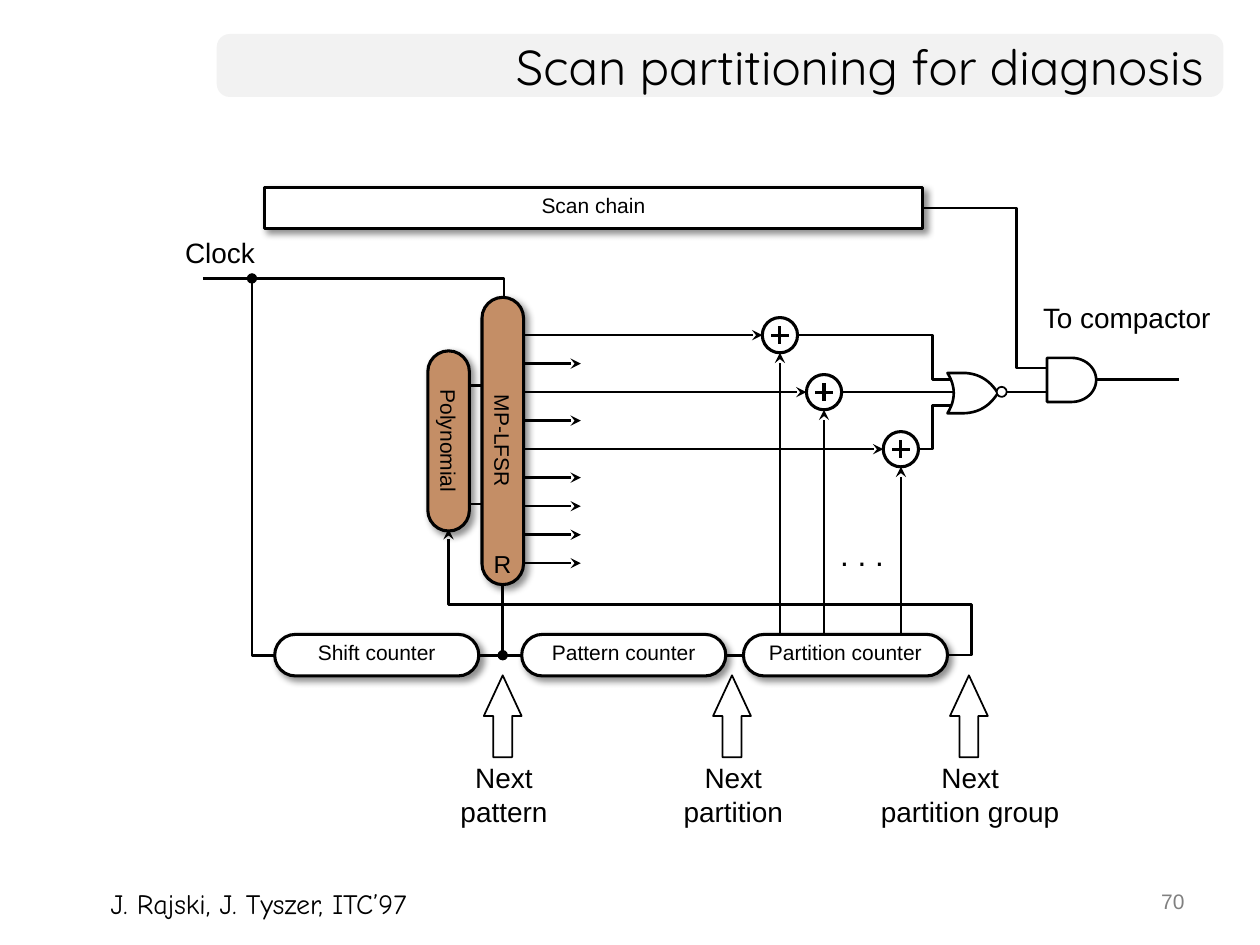
from lxml import etree
from pptx import Presentation
from pptx.dml.color import RGBColor
from pptx.enum.shapes import MSO_CONNECTOR, MSO_SHAPE
from pptx.enum.text import MSO_ANCHOR, MSO_AUTO_SIZE, PP_ALIGN
from pptx.oxml.ns import qn
from pptx.util import Inches, Pt

STRAIGHT = MSO_CONNECTOR.STRAIGHT
RECT, PILL, OVAL = MSO_SHAPE.RECTANGLE, MSO_SHAPE.ROUNDED_RECTANGLE, MSO_SHAPE.OVAL
UP_ARROW, AND_GATE = MSO_SHAPE.UP_ARROW, MSO_SHAPE.FLOWCHART_DELAY
LEFT, CENTER, RIGHT = PP_ALIGN.LEFT, PP_ALIGN.CENTER, PP_ALIGN.RIGHT
BLACK, WHITE, COPPER, PALE, GRAY = "000000", "FFFFFF", "C48E66", "F2F2F2", "808080"
color = RGBColor.from_string


def style(shape, width, fill=None, head=None, tail=None, shadow=False):
    """Set outline, fill, line ends and shadow of a shape or connector."""
    if width:
        shape.line.width = Pt(width)
        shape.line.color.rgb = color(BLACK)
    else:
        shape.line.fill.background()
    if fill:
        shape.fill.solid()
        shape.fill.fore_color.rgb = color(fill)
    elif hasattr(shape, "fill"):
        shape.fill.background()
    properties = shape.element.spPr
    for tag, kind in (("a:headEnd", head), ("a:tailEnd", tail)):
        if kind:
            etree.SubElement(properties.find(qn("a:ln")), qn(tag), type=kind)
    effects = etree.SubElement(properties, qn("a:effectLst"))
    if shadow:
        outer = etree.SubElement(effects, qn("a:outerShdw"), blurRad=str(Pt(4)),
                                 dist=str(Pt(3)), dir="2700000", algn="tl")
        tint = etree.SubElement(outer, qn("a:srgbClr"), val=BLACK)
        etree.SubElement(tint, qn("a:alpha"), val="43000")


def write(shape, text, size, align=CENTER, font="Arial", ink=BLACK, wrap=True, anchor=MSO_ANCHOR.MIDDLE):
    frame = shape.text_frame
    frame.text = text
    frame.word_wrap = wrap
    frame.vertical_anchor = anchor
    frame.auto_size = MSO_AUTO_SIZE.NONE if wrap else MSO_AUTO_SIZE.SHAPE_TO_FIT_TEXT
    for paragraph in frame.paragraphs:
        paragraph.alignment = align
        paragraph.font.size = Pt(size)
        paragraph.font.name = font
        paragraph.font.color.rgb = color(ink)


deck = Presentation()
deck.slide_width, deck.slide_height = Inches(10), Inches(7.5)
shapes = deck.slides.add_slide(deck.slide_layouts[6]).shapes

title_bar = shapes.add_shape(PILL, Inches(1.72), Inches(0.27), Inches(7.99), Inches(0.5))
title_bar.adjustments[0] = 0.208
style(title_bar, 0, PALE)
title = shapes.add_textbox(Inches(1.72), Inches(0.27), Inches(7.93), Inches(0.5))
write(title, "Scan partitioning for diagnosis", 28, RIGHT, "Quicksand")

# Nine evenly spaced register outputs; every second one of the first five feeds an XOR gate
TAPS = [2.66 + row * (4.47 - 2.66) / 8 for row in range(9)]
XOR_GATES = list(zip((6.19, 6.54, 7.15), TAPS[0:5:2]))
RADIUS = 0.14
CLOCK_X, CLOCK_Y = 2, 2.21
REGISTER_X, POLYNOMIAL_X = 3.99, 3.56
COUNTER_Y, FEEDBACK_Y = 5.2, 4.8

# Wires: points, start marker, end marker
wires = [([(3.96, y), (4.61, y)], None, "stealth") for y in TAPS if y not in TAPS[0:5:2]]
for x, y in XOR_GATES:
    wires += [([(4, y), (x - RADIUS, y)], None, "stealth"),
              ([(x, 5.12), (x, y + RADIUS)], None, "stealth")]
wires += [
    ([(7.07, TAPS[4]), (7.4, TAPS[4]), (7.4, 3.22), (7.69, 3.22)], None, None),
    ([(6.24, TAPS[0]), (7.4, TAPS[0]), (7.4, 3.01), (7.59, 3.01)], None, None),
    ([(6.54, TAPS[2]), (8.43, TAPS[2])], None, None),
    ([(8.66, 3.01), (9.36, 3.01)], None, None),
    ([(POLYNOMIAL_X, 3.06), (3.85, 3.06)], None, None),
    ([(POLYNOMIAL_X, 4), (3.85, 4)], None, None),
    ([(6.7, 1.65), (8.07, 1.65), (8.07, 2.92), (8.4, 2.92)], None, None),
    ([(7.26, COUNTER_Y), (7.71, COUNTER_Y), (7.71, FEEDBACK_Y), (POLYNOMIAL_X, FEEDBACK_Y),
      (POLYNOMIAL_X, 4.2)], None, "stealth"),
    ([(REGISTER_X, COUNTER_Y), (REGISTER_X, 4.44)], "oval", None),
    ([(CLOCK_X, CLOCK_Y), (CLOCK_X, COUNTER_Y), (6.26, COUNTER_Y)], "oval", None),
    ([(1.61, CLOCK_Y), (4, CLOCK_Y), (4, 2.78)], None, None),
]
for points, head, tail in wires:
    corners = [(Inches(x), Inches(y)) for x, y in points]
    if len(corners) == 2:
        wire = shapes.add_connector(STRAIGHT, *corners[0], *corners[1])
    else:
        outline = shapes.build_freeform(*corners[0])
        outline.add_line_segments(corners[1:], close=False)
        wire = outline.convert_to_shape()
    style(wire, 1.5, head=head, tail=tail)

# Blocks: label, centre, length, thickness, fill, rotation, corner rounding
for label, x, y, length, thickness, fill, turn, rounding in (
    ("Scan chain", 4.71, 1.65, 5.22, 0.32, WHITE, 0, 0),
    ("Shift counter", 2.99, 5.2, 1.62, 0.33, WHITE, 0, 0.5),
    ("Pattern counter", 4.95, 5.2, 1.62, 0.33, WHITE, 0, 0.5),
    ("Partition counter", 6.71, 5.2, 1.62, 0.33, WHITE, 0, 0.5),
    ("MP-LFSR", REGISTER_X, 3.5, 2.28, 0.33, COPPER, 90, 0.5),
    ("Polynomial", POLYNOMIAL_X, 3.5, 1.43, 0.33, COPPER, 90, 0.5),
):
    block = shapes.add_shape(PILL if rounding else RECT, Inches(x - length / 2),
                             Inches(y - thickness / 2), Inches(length), Inches(thickness))
    if rounding:
        block.adjustments[0] = rounding
    block.rotation = turn
    style(block, 1.75, fill, shadow=True)
    write(block, label, 12)
    block.text_frame.margin_bottom = Inches(0.05 if turn else 0.1)

for x, y in XOR_GATES:
    gate = shapes.add_shape(OVAL, Inches(x - RADIUS), Inches(y - RADIUS),
                            Inches(2 * RADIUS), Inches(2 * RADIUS))
    style(gate, 1.75, WHITE)
    for dx, dy in ((0, RADIUS / 2), (RADIUS / 2, 0)):
        stroke = shapes.add_connector(STRAIGHT, Inches(x - dx), Inches(y - dy),
                                      Inches(x + dx), Inches(y + dy))
        style(stroke, 1.75)

# NOR gate: a curved nose from the upper to the lower edge, then a hollow back
STEPS = 12
NOR_Y, NOR_HALF = 3.12, 0.16
nose = []
for step in range(STEPS + 1):
    t = step / STEPS
    nose.append((7.64 * (1 - t) ** 2 + 7.82 * 2 * t * (1 - t) + 7.92 * t ** 2,
                 NOR_HALF * (1 - t) ** 2 + NOR_HALF * 2 * t * (1 - t)))
contour = [(x, NOR_Y - rise) for x, rise in nose]
contour += [(x, NOR_Y + rise) for x, rise in reversed(nose)]
for step in range(STEPS + 1):
    t = 1 - 2 * step / STEPS
    contour.append((7.52 + 0.05 * (1 - t ** 2), NOR_Y + NOR_HALF * t))
corners = [(Inches(x), Inches(y)) for x, y in contour]
outline = shapes.build_freeform(*corners[0])
outline.add_line_segments(corners[1:], close=True)
style(outline.convert_to_shape(), 1.5, WHITE)
inverter = shapes.add_shape(OVAL, Inches(7.91), Inches(3.07), Inches(0.08), Inches(0.08))
style(inverter, 1, WHITE)
and_gate = shapes.add_shape(AND_GATE, Inches(8.31), Inches(2.84), Inches(0.39), Inches(0.35))
style(and_gate, 1.5, WHITE)

# Labels: text, left, top, width, height, size, alignment, font
labels = [
    ("To compactor", 8.18, 2.34, 1.56, 0.37, 16, LEFT, "Arial"),
    ("Clock", 1.37, 1.82, 0.78, 0.37, 16, LEFT, "Arial"),
    (". . .", 6.57, 4.2, 0.55, 0.4, 18, LEFT, "Arial"),
    ("R", 3.82, 4.31, 0.34, 0.34, 14, LEFT, "Arial"),
    ("J. Rajski, J. Tyszer, ITC’97", 0.78, 6.99, 3.11, 0.37, 16, LEFT, "Comic Neue"),
]
for event, x, width in (("pattern", 3.99, 0.9), ("partition", 5.81, 1), ("partition group", 7.69, 1.64)):
    pointer = shapes.add_shape(UP_ARROW, Inches(x - 0.15), Inches(5.36), Inches(0.3), Inches(0.65))
    pointer.adjustments[0], pointer.adjustments[1] = 0.5, 1.075
    style(pointer, 1, WHITE)
    labels.append((f"Next\n{event}", x + 0.01 - width / 2, 5.99, width, 0.64, 16, CENTER, "Arial"))
for text, left, top, width, height, size, align, font in labels:
    label = shapes.add_textbox(Inches(left), Inches(top), Inches(width), Inches(height))
    write(label, text, size, align, font, wrap=False, anchor=MSO_ANCHOR.TOP)

page_number = shapes.add_textbox(Inches(7.17), Inches(7), Inches(2.33), Inches(0.35))
write(page_number, "70", 12, RIGHT, ink=GRAY, anchor=MSO_ANCHOR.TOP)

deck.save("out.pptx")
